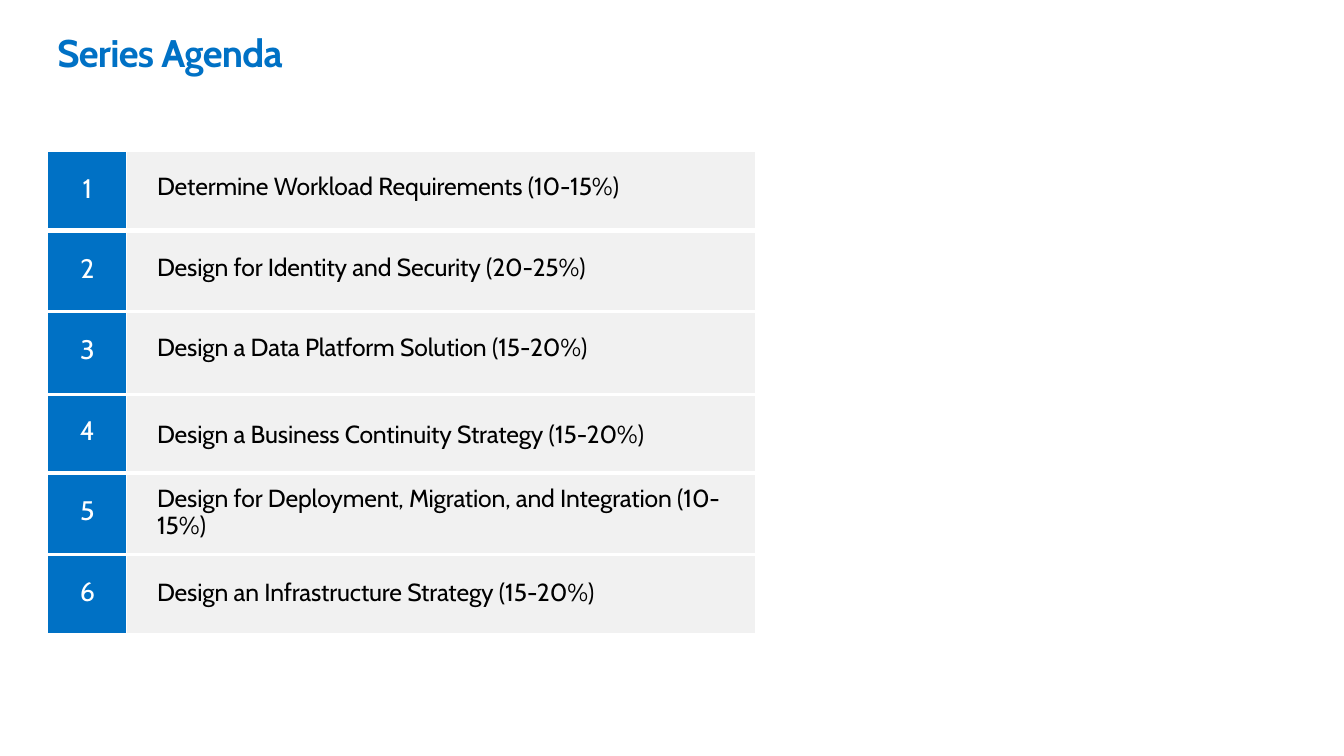
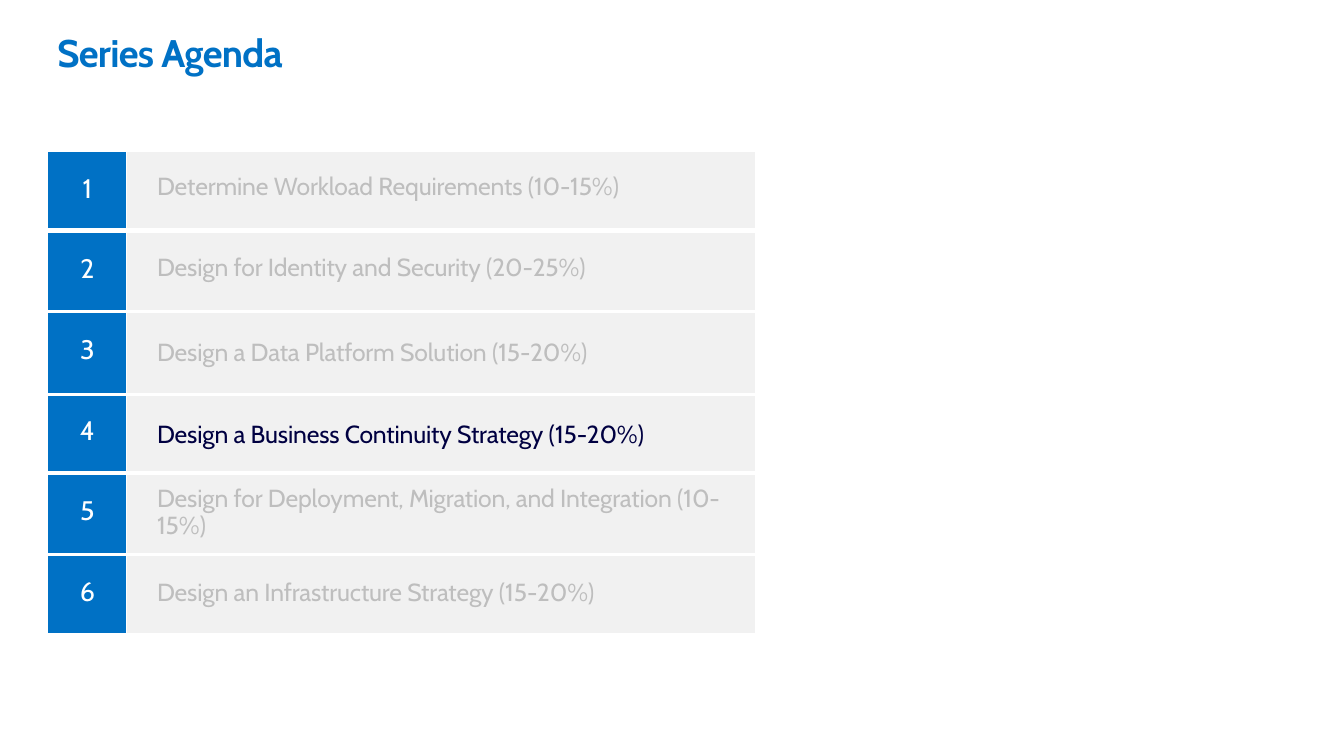
"""Build two agenda slides: the full series and the current topic highlighted."""
from lxml.etree import SubElement
from pptx import Presentation
from pptx.dml.color import RGBColor
from pptx.enum.text import MSO_ANCHOR, MSO_AUTO_SIZE, PP_ALIGN
from pptx.oxml.ns import qn
from pptx.util import Inches, Pt

FONT = "Cabin"
BLUE, GRAY, WHITE = "0071C5", "F1F1F1", "FFFFFF"
BLACK, NAVY, MUTED = "000000", "000041", "BEBEBE"

TOPICS = [
    "Determine Workload Requirements (10-15%)",
    "Design for Identity and Security (20-25%)",
    "Design a Data Platform Solution (15-20%)",
    "Design a Business Continuity Strategy (15-20%)",
    "Design for Deployment, Migration, and Integration (10-15%)",
    "Design an Infrastructure Strategy (15-20%)",
]
COLUMN_WIDTHS = [0.79, 6.36]
ROW_HEIGHTS = [0.79, 0.82, 0.84, 0.8, 0.82, 0.8]
ROW_GAPS = [0, 4.25, 2.25, 2.25, 3, 2.25, 0]
NUMBER_TOPS = [0.21, 0.23, 0.23, 0.21, 0.22, 0.22]
AGENDAS = [
    {"colors": [BLACK] * 6, "tops": [0.2, 0.23, 0.22, 0.26, 0.14, 0.24]},
    {"colors": [MUTED] * 3 + [NAVY] + [MUTED] * 2, "tops": [0.2, 0.23, 0.27, 0.26, 0.14, 0.24]},
]


def write_text(frame, text, size, color, bold=False, align=PP_ALIGN.LEFT, tracking=0, line_spacing=None):
    paragraph = frame.paragraphs[0]
    paragraph.alignment = align
    paragraph.line_spacing = line_spacing
    run = paragraph.add_run()
    run.text = text
    run.font.name = FONT
    run.font.size = Pt(size)
    run.font.bold = bold
    run.font.color.rgb = RGBColor.from_string(color)
    run.font._element.set("spc", str(tracking))


def format_cell(cell, color, top, left, borders):
    cell.margin_left, cell.margin_top = Inches(left), Inches(top)
    cell.margin_right = cell.margin_bottom = 0
    cell.vertical_anchor = MSO_ANCHOR.TOP
    properties = cell._tc.get_or_add_tcPr()
    for side, width in zip(("lnL", "lnR", "lnT", "lnB"), borders):
        line = SubElement(properties, qn(f"a:{side}"), w=str(Pt(width)))
        if width:
            fill = SubElement(line, qn("a:solidFill"))
            SubElement(fill, qn("a:srgbClr"), val=WHITE)
        else:
            SubElement(line, qn("a:noFill"))
    cell.fill.solid()
    cell.fill.fore_color.rgb = RGBColor.from_string(color)


presentation = Presentation()
presentation.slide_width, presentation.slide_height = Inches(13.6), Inches(7.65)

for agenda in AGENDAS:
    slide = presentation.slides.add_slide(presentation.slide_layouts[5])
    title = slide.shapes.title
    title.left, title.top, title.width, title.height = map(Inches, (0.57, 0.28, 2.46, 0.49))
    frame = title.text_frame
    frame.margin_left = frame.margin_top = Inches(0.01)
    frame.margin_right = frame.margin_bottom = 0
    frame.vertical_anchor = MSO_ANCHOR.TOP
    frame.auto_size = MSO_AUTO_SIZE.NONE
    write_text(frame, "Series Agenda", size=28, color=BLUE, bold=True, tracking=-50)

    table = slide.shapes.add_table(
        len(TOPICS), 2, Inches(0.49), Inches(1.54), Inches(sum(COLUMN_WIDTHS)), Inches(sum(ROW_HEIGHTS))
    ).table
    table.first_row = table.horz_banding = False
    for column, width in zip(table.columns, COLUMN_WIDTHS):
        column.width = Inches(width)

    for index, topic in enumerate(TOPICS):
        table.rows[index].height = Inches(ROW_HEIGHTS[index])
        gaps = ROW_GAPS[index:index + 2]
        number_cell, topic_cell = table.cell(index, 0), table.cell(index, 1)
        format_cell(number_cell, BLUE, NUMBER_TOPS[index], 0, [0, 1, *gaps])
        write_text(number_cell.text_frame, str(index + 1), size=19.5, color=WHITE, align=PP_ALIGN.CENTER)
        format_cell(topic_cell, GRAY, agenda["tops"][index], 0.31, [1, 0, *gaps])
        write_text(
            topic_cell.text_frame, topic, size=18, color=agenda["colors"][index], tracking=-10,
            line_spacing=Pt(19.4) if index == 4 else None,
        )

presentation.save("out.pptx")
